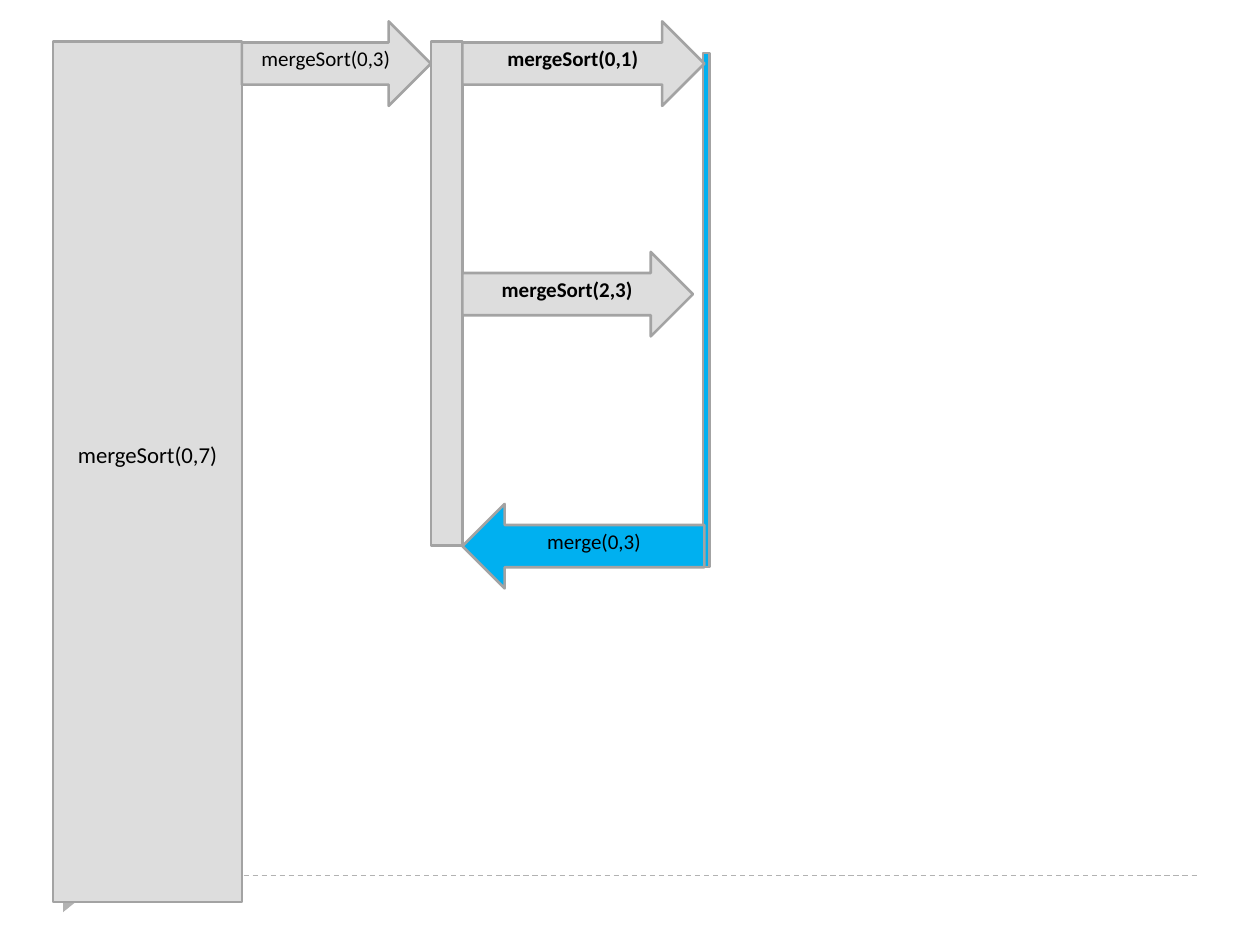
from lxml.etree import SubElement
from pptx import Presentation
from pptx.dml.color import RGBColor
from pptx.enum.dml import MSO_LINE
from pptx.enum.shapes import MSO_CONNECTOR, MSO_SHAPE
from pptx.enum.text import MSO_ANCHOR, PP_ALIGN
from pptx.oxml.ns import qn
from pptx.util import Inches, Pt

THEME = {
    "font": "Calibri", "bar_size": 13, "arrow_size": 12,
    "text": "000000", "call": "DDDDDD", "merge": "00B0F0",
    "outline": "A3A3A3", "footer": "B2B2B2",
    "outline_width": 1.5, "footer_width": 0.75,
}

# Call bars: left, top, width, height, fill, label
BARS = [
    (5.58, 0.42, 0.05, 4.08, "merge", ""),
    (0.42, 0.33, 1.5, 6.83, "call", "mergeSort(0,7)"),
    (3.42, 0.33, 0.25, 4, "call", ""),
]

# Arrows: shape, left, top, width, fill, label, bold
RIGHT, LEFT = MSO_SHAPE.RIGHT_ARROW, MSO_SHAPE.LEFT_ARROW
ARROWS = [
    (RIGHT, 1.92, 0.17, 1.5, "call", "mergeSort(0,3)", False),
    (RIGHT, 3.67, 0.17, 1.92, "call", "mergeSort(0,1)", True),
    (RIGHT, 3.67, 2, 1.83, "call", "mergeSort(2,3)", True),
    (LEFT, 3.67, 4, 1.92, "merge", "merge(0,3)", False),
]
ARROW_HEIGHT = 0.67
BAR_LIFT, ARROW_LIFT = 0.27, 0.08  # bottom insets that raise the labels


def color(name):
    return RGBColor.from_string(THEME[name])


def add_shape(s, kind, box, fill, outlined=True):
    sp = s.shapes.add_shape(kind, *map(Inches, box))
    sp.shadow.inherit = False
    sp.fill.solid()
    sp.fill.fore_color.rgb = color(fill)
    if outlined:
        sp.line.color.rgb = color("outline")
        sp.line.width = Pt(THEME["outline_width"])
    else:
        sp.line.fill.background()
    return sp


def add_label(sp, text, size, lift, bold=False):
    tf = sp.text_frame
    tf.word_wrap = True
    tf.vertical_anchor = MSO_ANCHOR.MIDDLE
    tf.margin_left = tf.margin_right = tf.margin_top = 0
    tf.margin_bottom = Inches(lift)
    p = tf.paragraphs[0]
    p.text = text
    p.alignment = PP_ALIGN.CENTER
    p.font.name = THEME["font"]
    p.font.size = Pt(THEME[size])
    p.font.bold = bold
    p.font.color.rgb = color("text")


def add_footer(s):
    rule = s.shapes.add_connector(
        MSO_CONNECTOR.STRAIGHT, *map(Inches, (0.5, 6.95, 9.5, 6.95)))
    rule.line.color.rgb = color("footer")
    rule.line.width = Pt(THEME["footer_width"])
    rule.line.dash_style = MSO_LINE.DASH
    SubElement(rule.line._get_or_add_ln().getparent(), qn("a:effectLst"))
    marker = add_shape(s, MSO_SHAPE.ISOSCELES_TRIANGLE,
                       (0.46, 7.07, 0.21, 0.13), "footer", outlined=False)
    marker.rotation = 90


def main():
    prs = Presentation()
    prs.slide_width, prs.slide_height = Inches(10), Inches(7.5)
    s = prs.slides.add_slide(prs.slide_layouts[6])

    add_footer(s)

    # Call bars
    for *box, fill, label in BARS:
        sp = add_shape(s, MSO_SHAPE.RECTANGLE, box, fill)
        if label:
            add_label(sp, label, "bar_size", BAR_LIFT)

    # Calls and the merge back
    for kind, left, top, width, fill, label, bold in ARROWS:
        sp = add_shape(s, kind, (left, top, width, ARROW_HEIGHT), fill)
        add_label(sp, label, "arrow_size", ARROW_LIFT, bold)

    prs.save("out.pptx")


if __name__ == "__main__":
    main()
